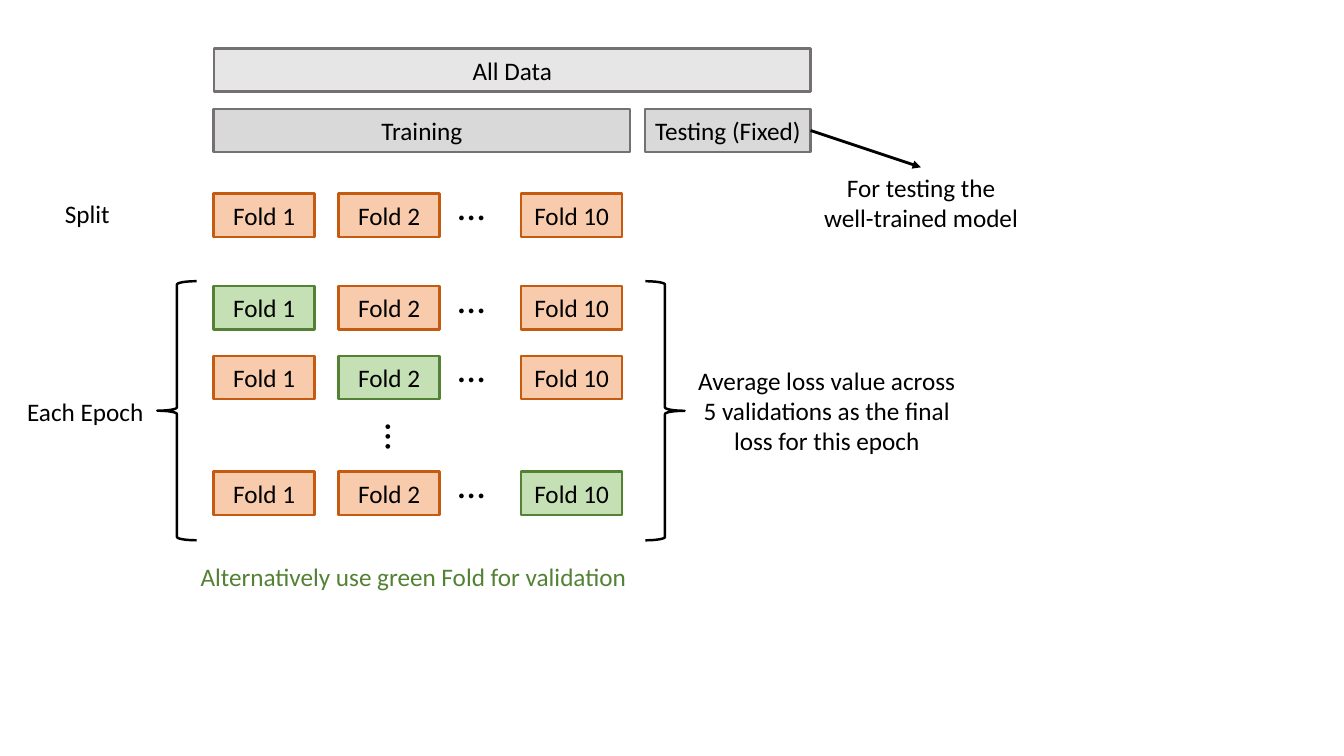
from lxml.etree import SubElement
from pptx import Presentation
from pptx.dml.color import RGBColor
from pptx.enum.shapes import MSO_CONNECTOR as CONNECTOR, MSO_SHAPE as SHAPE
from pptx.enum.text import MSO_ANCHOR as ANCHOR, PP_ALIGN as ALIGN
from pptx.oxml.ns import qn
from pptx.util import Inches, Pt

BLACK = RGBColor(0x00, 0x00, 0x00)
LIGHT_GRAY = RGBColor(0xE7, 0xE6, 0xE6)
MID_GRAY = RGBColor(0xD9, 0xD9, 0xD9)
GRAY_EDGE = RGBColor(0x76, 0x71, 0x71)
ORANGE = RGBColor(0xF8, 0xCB, 0xAD)
ORANGE_EDGE = RGBColor(0xC5, 0x5A, 0x11)
GREEN = RGBColor(0xC5, 0xE0, 0xB4)
GREEN_EDGE = RGBColor(0x54, 0x82, 0x35)
GREEN_TEXT = RGBColor(0x53, 0x82, 0x34)

BAR_HEIGHT = 0.43
BAR_MARGIN = 0.05
FOLD_WIDTH = 1
FOLDS = {"Fold 1": 0, "Fold 2": 1.24, "Fold 10": 3.05}
VALIDATION_ROWS = {"Fold 1": 2.84, "Fold 2": 3.53, "Fold 10": 4.68}


def write(frame, words, size=18, color=BLACK):
    frame.word_wrap = True
    frame.text = words
    line = frame.paragraphs[0]
    line.alignment = ALIGN.CENTER
    font = line.runs[0].font
    font.name = "Calibri"
    font.size = Pt(size)
    font.color.rgb = color


def add_label(slide, words, left, top, width, height=0.4, size=18, color=BLACK):
    label = slide.shapes.add_textbox(
        Inches(left), Inches(top), Inches(width), Inches(height))
    write(label.text_frame, words, size, color)
    return label


def add_ellipsis(slide, left, top):
    return add_label(slide, "…", left, top, 0.79, 0.24, size=28)


def add_bar(slide, words, left, top, width, fill, edge):
    bar = slide.shapes.add_shape(
        SHAPE.RECTANGLE, Inches(left), Inches(top), Inches(width), Inches(BAR_HEIGHT))
    bar.shadow.inherit = False
    bar.fill.solid()
    bar.fill.fore_color.rgb = fill
    bar.line.color.rgb = edge
    bar.line.width = Pt(1.75)
    bar.text_frame.vertical_anchor = ANCHOR.MIDDLE
    bar.text_frame.margin_left = bar.text_frame.margin_right = Inches(BAR_MARGIN)
    write(bar.text_frame, words)
    return bar


def add_brace(slide, left, top, height, rotation=0):
    brace = slide.shapes.add_shape(
        SHAPE.LEFT_BRACE, Inches(left), Inches(top), Inches(0.39), Inches(height))
    brace.shadow.inherit = False
    brace.fill.background()
    brace.line.color.rgb = BLACK
    brace.line.width = Pt(1.75)
    brace.rotation = rotation


def add_arrow(slide, testing, note):
    arrow = slide.shapes.add_connector(CONNECTOR.STRAIGHT, 0, 0, 0, 0)
    arrow.begin_connect(testing, 3)
    arrow.end_connect(note, 0)
    arrow.line.color.rgb = BLACK
    arrow.line.width = Pt(2)
    SubElement(arrow.line._get_or_add_ln(), qn("a:tailEnd"), type="triangle")
    SubElement(arrow._element.spPr, qn("a:effectLst"))


def add_data_split(slide, left, top, width):
    training_width, testing_width = 4.13, 1.64
    right = left + width
    lower = top + 0.6
    add_bar(slide, "All Data", left, top, width, LIGHT_GRAY, GRAY_EDGE)
    add_bar(slide, "Training", left, lower, training_width, MID_GRAY, GRAY_EDGE)
    testing = add_bar(slide, "Testing (Fixed)", right - testing_width, lower,
                      testing_width, MID_GRAY, GRAY_EDGE)
    note = add_label(slide, "For testing the well-trained model",
                     right, top + 1.18, 2.19, 0.71)
    add_arrow(slide, testing, note)


def add_fold_row(slide, left, top, validation=None):
    for fold, offset in FOLDS.items():
        fill, edge = (GREEN, GREEN_EDGE) if fold == validation else (ORANGE, ORANGE_EDGE)
        add_bar(slide, fold, left + offset, top, FOLD_WIDTH, fill, edge)
    add_ellipsis(slide, left + 2.16, top - 0.17)


def add_epoch(slide, left, top, height):
    for validation, row_top in VALIDATION_ROWS.items():
        add_fold_row(slide, left, row_top, validation)
    add_ellipsis(slide, left + 1.63, top + 1.43).rotation = 90
    add_brace(slide, left - 0.56, top, height)
    add_brace(slide, left + 4.28, top, height, rotation=180)
    add_label(slide, "Each Epoch", left - 1.97, top + 1.09, 1.39)
    add_label(slide, "Average loss value across 5 validations as the final loss for this epoch",
              left + 4.66, top + 0.78, 2.84, 1.01)
    add_label(slide, "Alternatively use green Fold for validation",
              left - 0.58, top + height + 0.16, 5.12, color=GREEN_TEXT)


def main():
    deck = Presentation()
    deck.slide_width = Inches(13.33)
    deck.slide_height = Inches(7.5)
    slide = deck.slides.add_slide(deck.slide_layouts[6])
    left = 2.12
    add_data_split(slide, left, 0.48, 5.92)
    add_label(slide, "Split", 0.29, 1.92, 1.15)
    add_fold_row(slide, left, 1.92)
    add_epoch(slide, left, 2.79, 2.57)
    deck.save("out.pptx")


if __name__ == "__main__":
    main()
